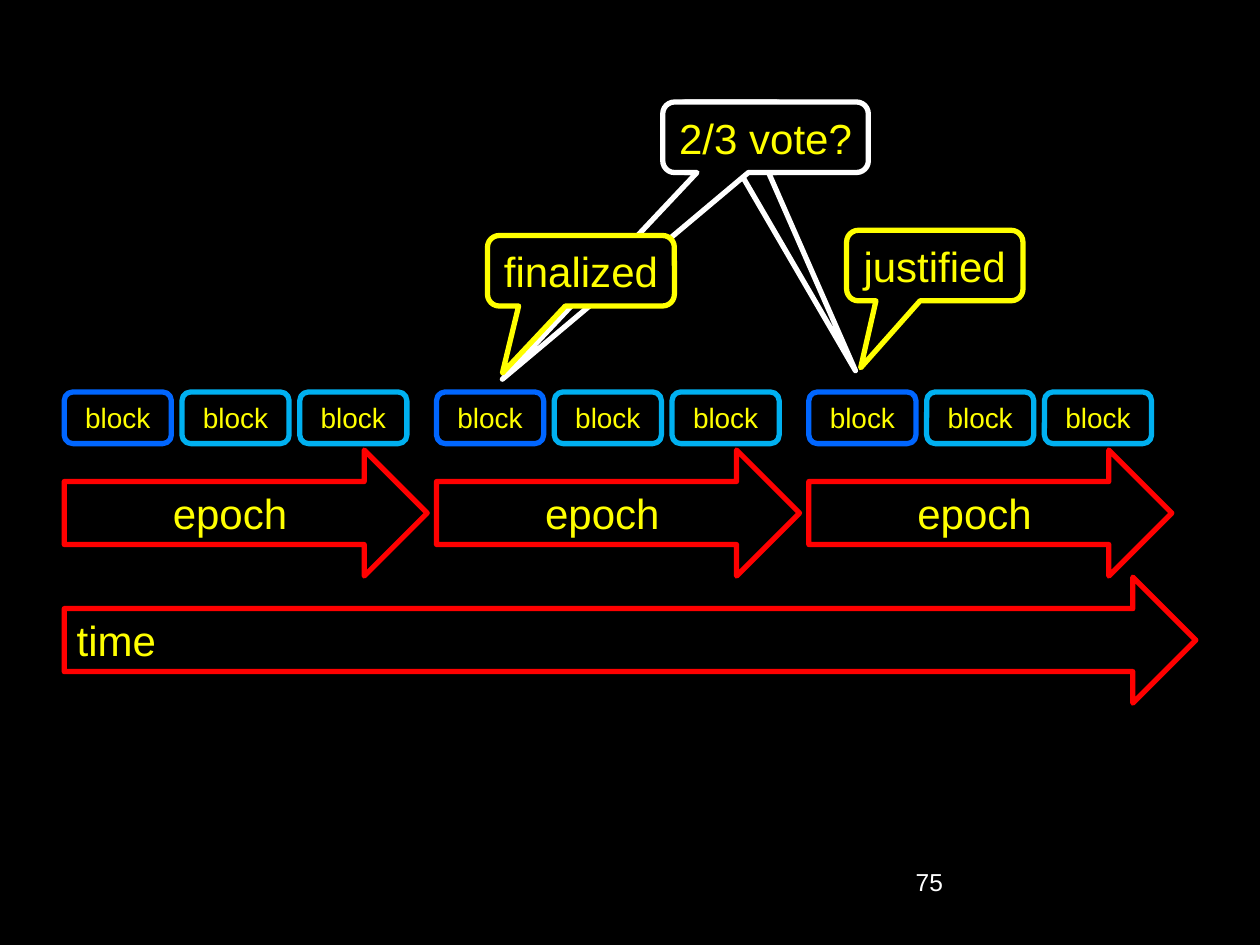
from dataclasses import dataclass
from typing import Optional

from pptx import Presentation
from pptx.dml.color import RGBColor
from pptx.enum.shapes import MSO_SHAPE
from pptx.enum.text import MSO_ANCHOR, PP_ALIGN
from pptx.util import Pt

BLACK, WHITE, YELLOW = "000000", "FFFFFF", "FFFF00"
RED, BLUE, CYAN = "FF0000", "0066FF", "00B0F0"
LEFT = 36.7
EPOCH_STEP = 212.75
BLOCK_STEP = 67.3
ARROW = MSO_SHAPE.RIGHT_ARROW
ROUND = MSO_SHAPE.ROUNDED_RECTANGLE
CALLOUT = MSO_SHAPE.ROUNDED_RECTANGULAR_CALLOUT


@dataclass
class Item:
    kind: MSO_SHAPE
    left: float
    top: float
    width: float
    height: float
    line: str
    text: str = ""
    size: int = 24
    align: PP_ALIGN = PP_ALIGN.CENTER
    tip: Optional[tuple[float, float]] = None
    fill: Optional[str] = BLACK


def color(code: str) -> RGBColor:
    return RGBColor.from_string(code)


def write(frame, text: str, size: int, code: str, align: PP_ALIGN) -> None:
    par = frame.paragraphs[0]
    par.text = text
    par.alignment = align
    par.font.size = Pt(size)
    par.font.name = "Arial"
    par.font.color.rgb = color(code)


def draw(shapes, item: Item) -> None:
    shape = shapes.add_shape(item.kind, Pt(item.left), Pt(item.top),
                             Pt(item.width), Pt(item.height))
    shape.shadow.inherit = False
    if item.fill:
        shape.fill.solid()
        shape.fill.fore_color.rgb = color(item.fill)
    else:
        shape.fill.background()
    shape.line.color.rgb = color(item.line)
    shape.line.width = Pt(3)
    if item.tip:
        shape.adjustments[0], shape.adjustments[1] = item.tip
    if item.text:
        frame = shape.text_frame
        frame.word_wrap = item.kind != CALLOUT
        frame.vertical_anchor = MSO_ANCHOR.MIDDLE
        write(frame, item.text, item.size, YELLOW, item.align)


def main() -> None:
    deck = Presentation()
    deck.slide_width, deck.slide_height = Pt(720), Pt(540)
    slide = deck.slides.add_slide(deck.slide_layouts[6])
    slide.background.fill.solid()
    slide.background.fill.fore_color.rgb = color(BLACK)
    shapes = slide.shapes

    votes = [
        Item(CALLOUT, 385.2, 58.3, 64.8, 40.3, WHITE,
             tip=(1.1, 3.31), fill=None),
        Item(CALLOUT, 378.7, 58.3, 117.5, 40.3, WHITE, "2/3 vote?",
             tip=(-1.28, 3.43)),
    ]
    group = shapes.add_group_shape()
    for vote in votes:
        draw(group.shapes, vote)

    page = shapes.add_textbox(Pt(516.2), Pt(491.8), Pt(149.8), Pt(36))
    page.text_frame.word_wrap = True
    write(page.text_frame, "75", 14, WHITE, PP_ALIGN.LEFT)

    draw(shapes, Item(ARROW, LEFT, 329.8, 646.6, 72, RED, "time",
                      align=PP_ALIGN.LEFT))
    starts = [LEFT + i * EPOCH_STEP for i in range(3)]
    for start in starts:
        draw(shapes, Item(ARROW, start, 257.2, 207.4, 72, RED, "epoch"))
    for start in starts:
        for i, line in enumerate((BLUE, CYAN, CYAN)):
            draw(shapes, Item(ROUND, start + i * BLOCK_STEP, 224, 61.2, 29.5,
                              line, "block", 16))

    tip = (-0.42, 1.45)
    draw(shapes, Item(CALLOUT, 278.6, 134.6, 106.8, 40.3, YELLOW,
                      "finalized", tip=tip))
    draw(shapes, Item(CALLOUT, 483.8, 131.6, 100.8, 40.3, YELLOW,
                      "justified", tip=tip))
    deck.save("out.pptx")


if __name__ == "__main__":
    main()
